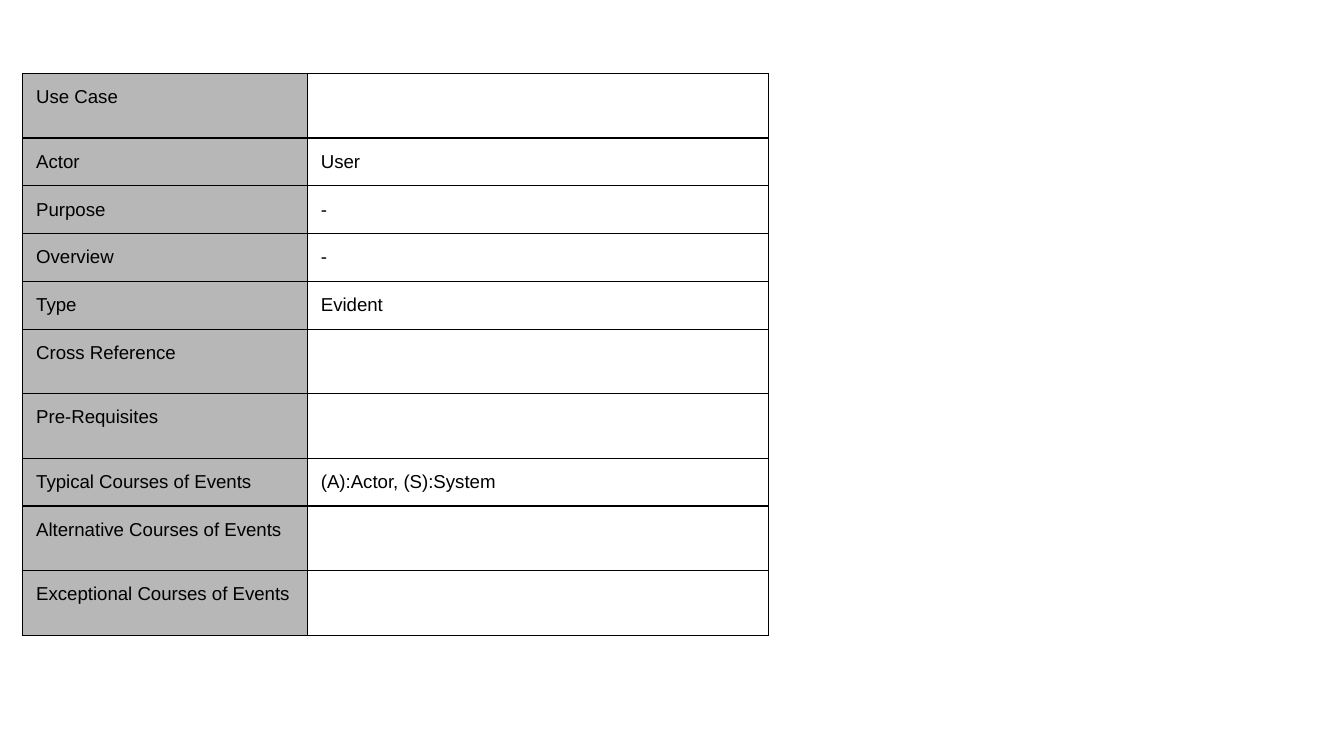
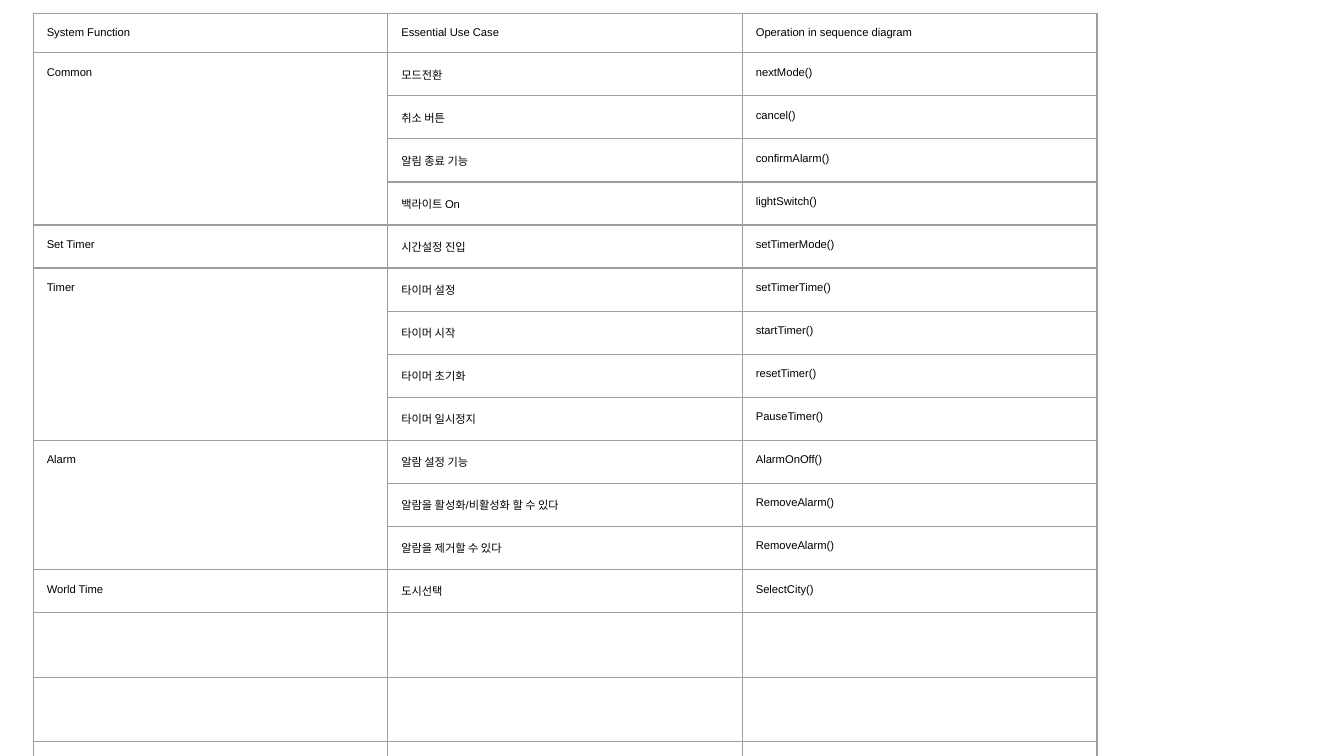
"""Build two slides: a use case form and a table of system functions."""
from lxml.etree import SubElement as Sub
from pptx import Presentation
from pptx.dml.color import RGBColor as Rgb
from pptx.oxml.ns import qn
from pptx.util import Cm, Pt

HUES = {"ink": "000000", "label": "B7B7B7", "form": "000000", "grid": "9E9E9E"}
FONT = "Arial"
PAD = Pt(7.2)
EDGE = Pt(0.75)
BLANK = 18


def style(cell, text, size, line, fill=None):
    """Set the text, margins, borders and fill of one cell."""
    cell.margin_left = cell.margin_right = PAD
    cell.margin_top = cell.margin_bottom = PAD
    para = cell.text_frame.paragraphs[0]
    if text:
        run = para.add_run()
        run.text = text
        run.font.name = FONT
        run.font.size = Pt(size)
        run.font.color.rgb = Rgb.from_string(HUES["ink"])
    else:
        points = size if cell.is_spanned else BLANK
        props = Sub(para._p, qn("a:endParaRPr"), sz=str(points * 100))
        Sub(props, qn("a:latin"), typeface=FONT)
    box = cell._tc.get_or_add_tcPr()
    for side in ("a:lnL", "a:lnR", "a:lnT", "a:lnB"):
        edge = Sub(box, qn(side), w=str(EDGE))
        Sub(Sub(edge, qn("a:solidFill")), qn("a:srgbClr"), val=HUES[line])
    if fill:
        cell.fill.solid()
        cell.fill.fore_color.rgb = Rgb.from_string(HUES[fill])
    else:
        cell.fill.background()


def draw(deck, left, top, cols, highs, rows):
    """Add a slide with a plain table and return the table."""
    slide = deck.slides.add_slide(deck.slide_layouts[6])
    frame = slide.shapes.add_table(len(rows), len(cols), Cm(left), Cm(top),
                                   Cm(sum(cols)), Cm(sum(highs)))
    table = frame.table
    table.first_row = table.horz_banding = False
    for col, wide in zip(table.columns, cols):
        col.width = Cm(wide)
    for row, high in zip(table.rows, highs):
        row.height = Cm(high)
    return table


deck = Presentation()
deck.slide_width, deck.slide_height = Cm(25.4), Cm(14.29)

form = [
    ("Use Case", ""),
    ("Actor", "User"),
    ("Purpose", "-"),
    ("Overview", "-"),
    ("Type", "Evident"),
    ("Cross Reference", ""),
    ("Pre-Requisites", ""),
    ("Typical Courses of Events", "(A):Actor, (S):System"),
    ("Alternative Courses of Events", ""),
    ("Exceptional Courses of Events", ""),
]
highs = [0.64] * 7 + [0.86, 0.64, 0.84]
table = draw(deck, 0.43, 1.39, [5.38, 8.71], highs, form)
for r, (label, value) in enumerate(form):
    style(table.cell(r, 0), label, 10, "form", "label")
    style(table.cell(r, 1), value, 10, "form")

groups = [
    ("System Function", [("Essential Use Case", "Operation in sequence diagram")]),
    ("Common", [
        ("모드전환", "nextMode()"),
        ("취소 버튼", "cancel()"),
        ("알림 종료 기능", "confirmAlarm()"),
        ("백라이트 On", "lightSwitch()"),
    ]),
    ("Set Timer", [("시간설정 진입", "setTimerMode()")]),
    ("Timer", [
        ("타이머 설정", "setTimerTime()"),
        ("타이머 시작", "startTimer()"),
        ("타이머 초기화", "resetTimer()"),
        ("타이머 일시정지", "PauseTimer()"),
    ]),
    ("Alarm", [
        ("알람 설정 기능", "AlarmOnOff()"),
        ("알람을 활성화/비활성화 할 수 있다", "RemoveAlarm()"),
        ("알람을 제거할 수 있다", "RemoveAlarm()"),
    ]),
    ("World Time", [("도시선택", "SelectCity()")]),
] + [("", [("", "")])] * 3
rows = [("" if n else name, *pair)
        for name, pairs in groups for n, pair in enumerate(pairs)]
table = draw(deck, 0.63, 0.25, [6.7] * 3, [0.58] * len(rows), rows)
start = 0
for name, pairs in groups:
    end = start + len(pairs) - 1
    if end > start:
        table.cell(start, 0).merge(table.cell(end, 0))
    start = end + 1
for r, row in enumerate(rows):
    for c, text in enumerate(row):
        style(table.cell(r, c), text, 6, "grid")

deck.save("out.pptx")
